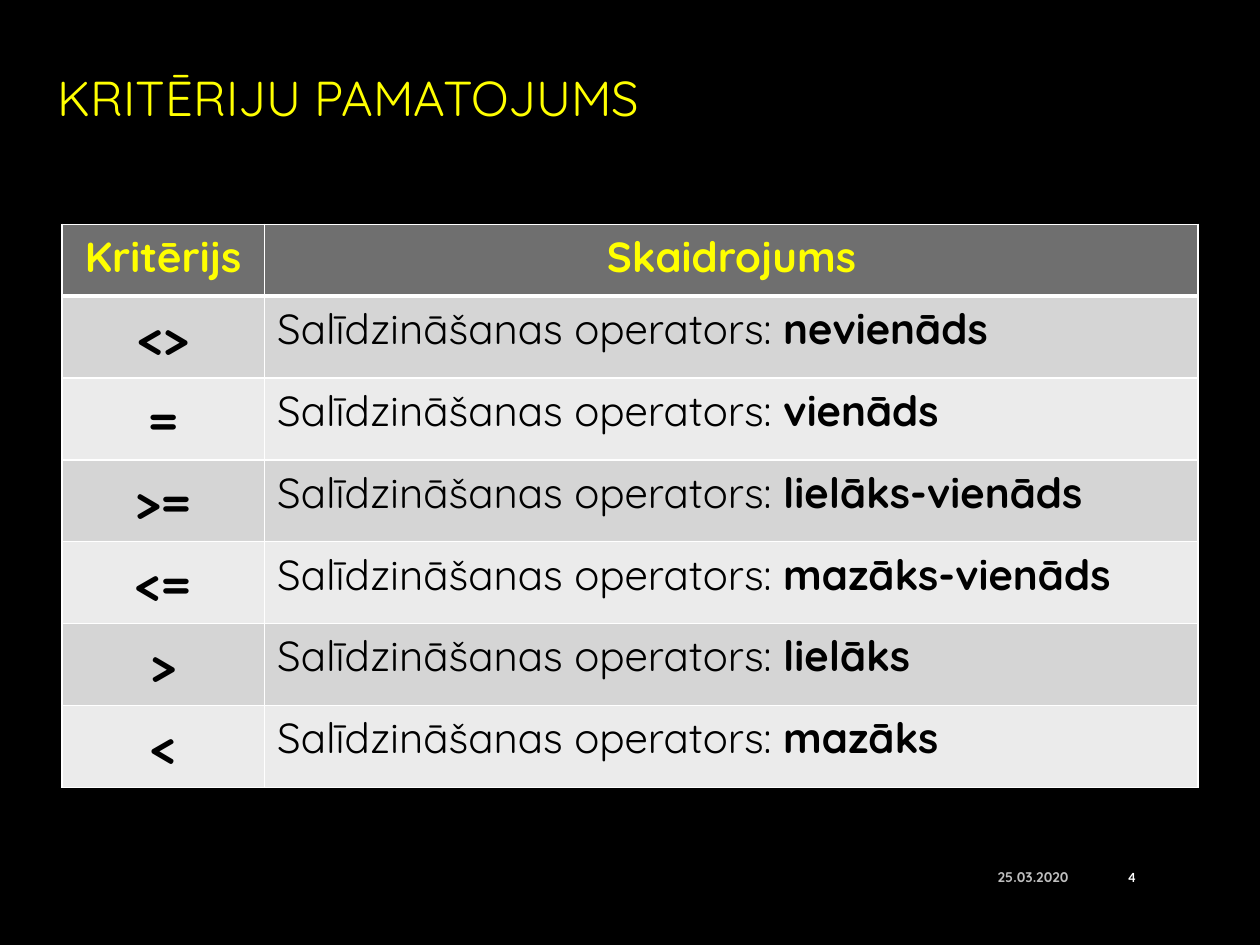
from lxml.etree import SubElement
from pptx import Presentation
from pptx.dml.color import RGBColor
from pptx.enum.text import MSO_ANCHOR, PP_ALIGN
from pptx.oxml.ns import qn
from pptx.util import Inches, Pt

TITLE = "KRITĒRIJU PAMATOJUMS"
HEADERS = ["Kritērijs", "Skaidrojums"]
EXPLANATION = "Salīdzināšanas operators: "
CRITERIA = [
    ("<>", "nevienāds"),
    ("=", "vienāds"),
    (">=", "lielāks-vienāds"),
    ("<=", "mazāks-vienāds"),
    (">", "lielāks"),
    ("<", "mazāks"),
]
FOOTERS = [
    ("25.03.2020", 7.17, 1.41, "Quicksand", "date"),
    ("4", 8.66, 0.45, "Calibri", "white"),
]
COLORS = {
    "background": "000000",
    "accent": "FFFF00",
    "header": "6F6F6F",
    "odd": "D5D5D5",
    "even": "EBEBEB",
    "text": "000000",
    "date": "BFBFBF",
    "white": "FFFFFF",
}
FONT = "Quicksand"
COLUMN_WIDTHS = [1.61, 7.41]
HEADER_HEIGHT, ROW_HEIGHT = 0.57, 0.65


def color(name):
    return RGBColor.from_string(COLORS[name])


def add_span(para, text, size, color_name, bold=False, font=FONT):
    span = para.add_run()
    span.text = text
    span.font.size = Pt(size)
    span.font.name = font
    span.font.bold = bold
    span.font.color.rgb = color(color_name)


def style_cell(cell, fill_name, top=1, bottom=1):
    properties = cell._tc.get_or_add_tcPr()
    for side, width in (("L", 1), ("R", 1), ("T", top), ("B", bottom)):
        line = SubElement(properties, qn(f"a:ln{side}"), w=str(Pt(width)))
        fill = SubElement(line, qn("a:solidFill"))
        SubElement(fill, qn("a:srgbClr"), val=COLORS["white"])
    cell.fill.solid()
    cell.fill.fore_color.rgb = color(fill_name)


def add_title(page):
    title = page.shapes.title
    title.left, title.top = Inches(0.36), Inches(0.34)
    title.width, title.height = Inches(8.21), Inches(0.86)
    title.text_frame.vertical_anchor = MSO_ANCHOR.MIDDLE
    para = title.text_frame.paragraphs[0]
    para.alignment = PP_ALIGN.LEFT
    add_span(para, TITLE, 28, "accent")


def add_criteria_table(page):
    height = HEADER_HEIGHT + ROW_HEIGHT * len(CRITERIA)
    table = page.shapes.add_table(
        len(CRITERIA) + 1, len(HEADERS), Inches(0.49), Inches(1.78),
        Inches(sum(COLUMN_WIDTHS)), Inches(height),
    ).table
    for column, width in zip(table.columns, COLUMN_WIDTHS):
        column.width = Inches(width)
    for index, row in enumerate(table.rows):
        row.height = Inches(ROW_HEIGHT if index else HEADER_HEIGHT)

    for cell, text in zip(table.rows[0].cells, HEADERS):
        style_cell(cell, "header", bottom=3)
        para = cell.text_frame.paragraphs[0]
        para.alignment = PP_ALIGN.CENTER
        add_span(para, text, 24, "accent", bold=True)

    for index, (symbol, meaning) in enumerate(CRITERIA, start=1):
        cells = table.rows[index].cells
        for cell in cells:
            style_cell(cell, "odd" if index % 2 else "even", top=3 if index == 1 else 1)
        symbol_cell, meaning_cell = cells
        symbol_cell.vertical_anchor = MSO_ANCHOR.MIDDLE
        para = symbol_cell.text_frame.paragraphs[0]
        para.alignment = PP_ALIGN.CENTER
        add_span(para, symbol, 28, "text", bold=True)
        para = meaning_cell.text_frame.paragraphs[0]
        add_span(para, EXPLANATION, 24, "text")
        add_span(para, meaning, 24, "text", bold=True)


def add_footers(page):
    for text, left, width, font, color_name in FOOTERS:
        box = page.shapes.add_textbox(Inches(left), Inches(6.76), Inches(width), Inches(0.4))
        box.text_frame.word_wrap = True
        box.text_frame.vertical_anchor = MSO_ANCHOR.MIDDLE
        para = box.text_frame.paragraphs[0]
        para.alignment = PP_ALIGN.RIGHT
        add_span(para, text, 8, color_name, bold=True, font=font)


def main():
    """Build the slide that explains the comparison criteria."""
    deck = Presentation()
    deck.slide_width, deck.slide_height = Inches(10), Inches(7.5)
    page = deck.slides.add_slide(deck.slide_layouts[5])
    page.background.fill.solid()
    page.background.fill.fore_color.rgb = color("background")
    add_title(page)
    add_criteria_table(page)
    add_footers(page)
    deck.save("out.pptx")


if __name__ == "__main__":
    main()
